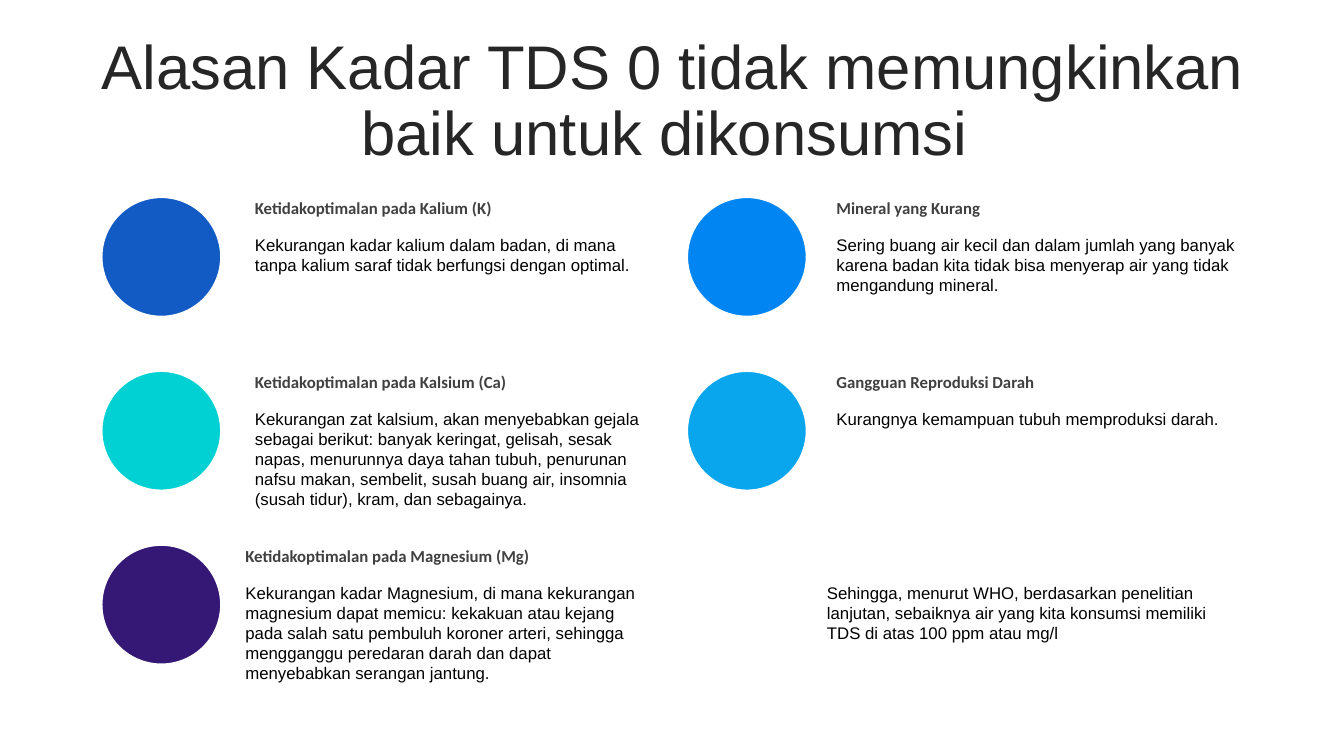
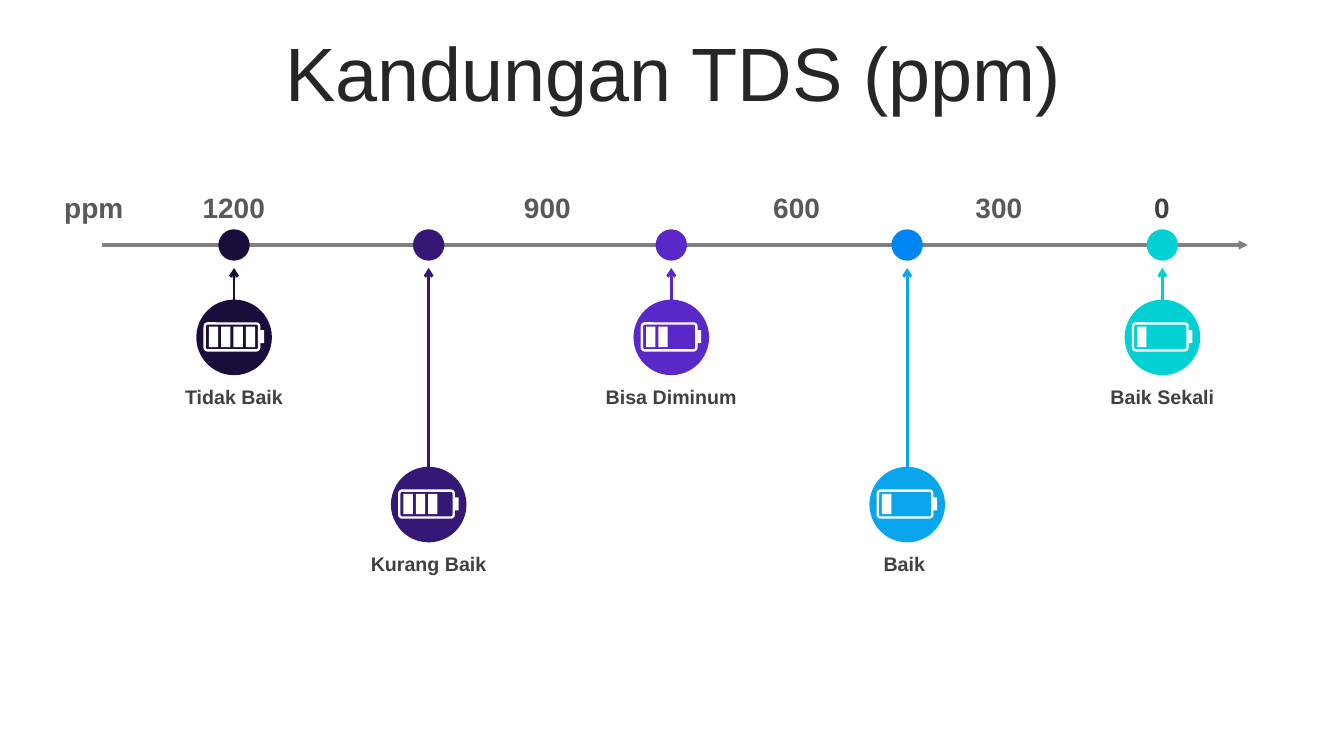
from dataclasses import dataclass

from lxml.etree import SubElement
from pptx import Presentation
from pptx.dml.color import RGBColor
from pptx.enum.shapes import MSO_CONNECTOR, MSO_SHAPE
from pptx.enum.text import MSO_ANCHOR, MSO_AUTO_SIZE, PP_ALIGN
from pptx.oxml.ns import qn
from pptx.shapes.autoshape import Shape
from pptx.slide import Slide
from pptx.util import Pt

COLORS = {
    "white": "FFFFFF", "black": "000000", "title": "262626",
    "dark": "404040", "grey": "595959", "axis": "808080",
    "night": "1A0C3B", "indigo": "351876", "violet": "5A28C8",
    "royal": "125AC4", "blue": "0085F2", "sky": "0AA6ED", "cyan": "01D1D3",
}


@dataclass(frozen=True)
class TextStyle:
    size: float
    color: str
    bold: bool = False
    font: str = "Arial"
    align: PP_ALIGN = PP_ALIGN.CENTER
    anchor: MSO_ANCHOR = MSO_ANCHOR.MIDDLE


@dataclass(frozen=True)
class Reason:
    heading: str
    detail: str
    lines: int
    color: str = ""


@dataclass(frozen=True)
class Tick:
    label: str
    center: float
    color: str = "grey"


@dataclass(frozen=True)
class Rating:
    label: str
    center: float
    badge_top: float
    cells: int
    color: str
    dot_color: str
    label_shift: float = 0


HEADING = TextStyle(12, "dark", True, "Calibri", PP_ALIGN.LEFT, MSO_ANCHOR.TOP)
DETAIL = TextStyle(12, "black", align=PP_ALIGN.LEFT, anchor=MSO_ANCHOR.TOP)
RATING = TextStyle(14, "dark", True)

REASONS = [
    Reason("Ketidakoptimalan pada Kalium (K)",
           "Kekurangan kadar kalium dalam badan, di mana tanpa kalium saraf tidak "
           "berfungsi dengan optimal.", 2, "royal"),
    Reason("Mineral yang Kurang",
           "Sering buang air kecil dan dalam jumlah yang banyak karena badan kita "
           "tidak bisa menyerap air yang tidak mengandung mineral.", 3, "blue"),
    Reason("Ketidakoptimalan pada Kalsium (Ca)",
           "Kekurangan zat kalsium, akan menyebabkan gejala sebagai berikut: banyak "
           "keringat, gelisah, sesak napas, menurunnya daya tahan tubuh, penurunan "
           "nafsu makan, sembelit, susah buang air, insomnia (susah tidur), kram, "
           "dan sebagainya.", 5, "cyan"),
    Reason("Gangguan Reproduksi Darah",
           "Kurangnya kemampuan tubuh memproduksi darah.", 1, "sky"),
    Reason("Ketidakoptimalan pada Magnesium (Mg)",
           "Kekurangan kadar Magnesium, di mana kekurangan magnesium dapat memicu: "
           "kekakuan atau kejang pada salah satu pembuluh koroner arteri, sehingga "
           "mengganggu peredaran darah dan dapat menyebabkan serangan jantung.",
           5, "indigo"),
    Reason("", "Sehingga, menurut WHO, berdasarkan penelitian lanjutan, sebaiknya air "
           "yang kita konsumsi memiliki TDS di atas 100 ppm atau mg/l", 3),
]
REASON_TOP, REASON_PITCH, REASON_CIRCLE = 141, 124.2, 85
CIRCLE_LEFTS, TEXT_LEFTS = (72.7, 491), (175, 590.4)
LAST_ROW_SHIFT = -6.8

TICKS = [
    Tick("ppm", 67), Tick("1200", 167), Tick("900", 391),
    Tick("600", 569), Tick("300", 713.5), Tick("0", 830, "dark"),
]
UPPER, LOWER = 214, 333.4
RATINGS = [
    Rating("Tidak Baik", 167.2, UPPER, 4, "night", "night"),
    Rating("Kurang Baik", 306.2, LOWER, 3, "indigo", "indigo"),
    Rating("Bisa Diminum", 479.5, UPPER, 2, "violet", "violet"),
    Rating("Baik", 648, LOWER, 1, "sky", "blue", -2),
    Rating("Baik Sekali", 830.3, UPPER, 1, "cyan", "cyan"),
]
AXIS_Y, DOT, BADGE = 175, 22.4, 54


def rgb(name: str) -> RGBColor:
    return RGBColor.from_string(COLORS[name])


def add_text(slide: Slide, text: str, left: float, top: float, width: float,
             height: float, style: TextStyle) -> Shape:
    box = slide.shapes.add_textbox(Pt(left), Pt(top), Pt(width), Pt(height))
    frame = box.text_frame
    frame.text = text
    frame.word_wrap = True
    frame.auto_size = MSO_AUTO_SIZE.SHAPE_TO_FIT_TEXT
    frame.vertical_anchor = style.anchor
    paragraph = frame.paragraphs[0]
    paragraph.alignment = style.align
    font = paragraph.runs[0].font
    font.name, font.size, font.bold = style.font, Pt(style.size), style.bold
    font.color.rgb = rgb(style.color)
    return box


def add_title(slide: Slide, text: str, size: float, height: float) -> None:
    title = add_text(slide, text, 25.2, 26.6, 911.5, height, TextStyle(size, "title"))
    title.text_frame.auto_size = MSO_AUTO_SIZE.NONE
    paragraph = title.text_frame.paragraphs[0]
    paragraph.line_spacing = 0.9
    paragraph.space_before = Pt(10)


def add_solid(slide: Slide, kind: MSO_SHAPE, left: float, top: float,
              width: float, height: float, color: str) -> Shape:
    solid = slide.shapes.add_shape(kind, Pt(left), Pt(top), Pt(width), Pt(height))
    solid.shadow.inherit = False
    solid.fill.solid()
    solid.fill.fore_color.rgb = rgb(color)
    solid.line.fill.background()
    return solid


def add_arrow(slide: Slide, start: tuple[float, float], end: tuple[float, float],
              color: str, width: float, head: str) -> None:
    arrow = slide.shapes.add_connector(
        MSO_CONNECTOR.STRAIGHT, *(Pt(value) for value in (*start, *end)))
    arrow.line.color.rgb = rgb(color)
    arrow.line.width = Pt(width)
    properties = arrow.element.spPr
    SubElement(properties.find(qn("a:ln")), qn("a:tailEnd"), type=head)
    SubElement(properties, qn("a:effectLst"))


def add_battery(slide: Slide, left: float, top: float, cells: int, color: str) -> None:
    wall = 1.7
    case = add_solid(slide, MSO_SHAPE.ROUNDED_RECTANGLE, left + wall / 2,
                     top + wall / 2, 40.6 - wall, 20.9 - wall, color)
    case.adjustments[0] = 0.1
    case.line.color.rgb = rgb("white")
    case.line.width = Pt(wall)
    add_solid(slide, MSO_SHAPE.RECTANGLE, left + 40.4, top + 5.6, 2.8, 9.4, "white")
    for cell in range(cells):
        add_solid(slide, MSO_SHAPE.RECTANGLE, left + 3.8 + 8.8 * cell, top + 3.1,
                  6.7, 14.6, "white")


def add_reason(slide: Slide, reason: Reason, index: int) -> None:
    row, column = divmod(index, 2)
    top = REASON_TOP + row * REASON_PITCH
    text_left = TEXT_LEFTS[column] + (LAST_ROW_SHIFT if row == 2 else 0)
    if reason.heading:
        circle = add_solid(slide, MSO_SHAPE.OVAL, CIRCLE_LEFTS[column], top,
                           REASON_CIRCLE, REASON_CIRCLE, reason.color)
        circle.line.color.rgb = rgb("white")
        circle.line.width = Pt(1)
        add_text(slide, reason.heading, text_left, top - 3.4, 302.4, 21.8, HEADING)
    add_text(slide, reason.detail, text_left, top + 23, 302.4,
             7.2 + 14.5 * reason.lines, DETAIL)


def add_rating(slide: Slide, rating: Rating) -> None:
    x, top = rating.center, rating.badge_top
    add_solid(slide, MSO_SHAPE.OVAL, x - DOT / 2, AXIS_Y - DOT / 2, DOT, DOT,
              rating.dot_color)
    add_arrow(slide, (x, top), (x, 191.4), rating.color, 2, "arrow")
    badge_left = x - BADGE / 2
    add_solid(slide, MSO_SHAPE.OVAL, badge_left, top, BADGE, BADGE, rating.color)
    add_battery(slide, badge_left + 5.2, top + 16.2, rating.cells, rating.color)
    add_text(slide, rating.label, x - 61.2 + rating.label_shift, top + 57.2,
             122.4, 24.4, RATING)


def main() -> None:
    deck = Presentation()
    deck.slide_width, deck.slide_height = Pt(960), Pt(540)
    blank = deck.slide_layouts[6]

    # Reasons in a grid of two columns
    reasons_slide = deck.slides.add_slide(blank)
    add_title(reasons_slide,
              "Alasan Kadar TDS 0 tidak memungkinkan baik untuk dikonsumsi ", 44, 93.6)
    for index, reason in enumerate(REASONS):
        add_reason(reasons_slide, reason, index)

    # TDS scale with its ratings
    scale_slide = deck.slides.add_slide(blank)
    add_title(scale_slide, "Kandungan TDS (ppm)", 54, 56.9)
    add_arrow(scale_slide, (72.7, AXIS_Y), (891.4, AXIS_Y), "axis", 2.25, "triangle")
    for tick in TICKS:
        add_text(scale_slide, tick.label, tick.center - 36.7, 132.5, 73.4, 31.6,
                 TextStyle(20, tick.color, True))
    for rating in RATINGS:
        add_rating(scale_slide, rating)

    deck.save("out.pptx")


if __name__ == "__main__":
    main()
